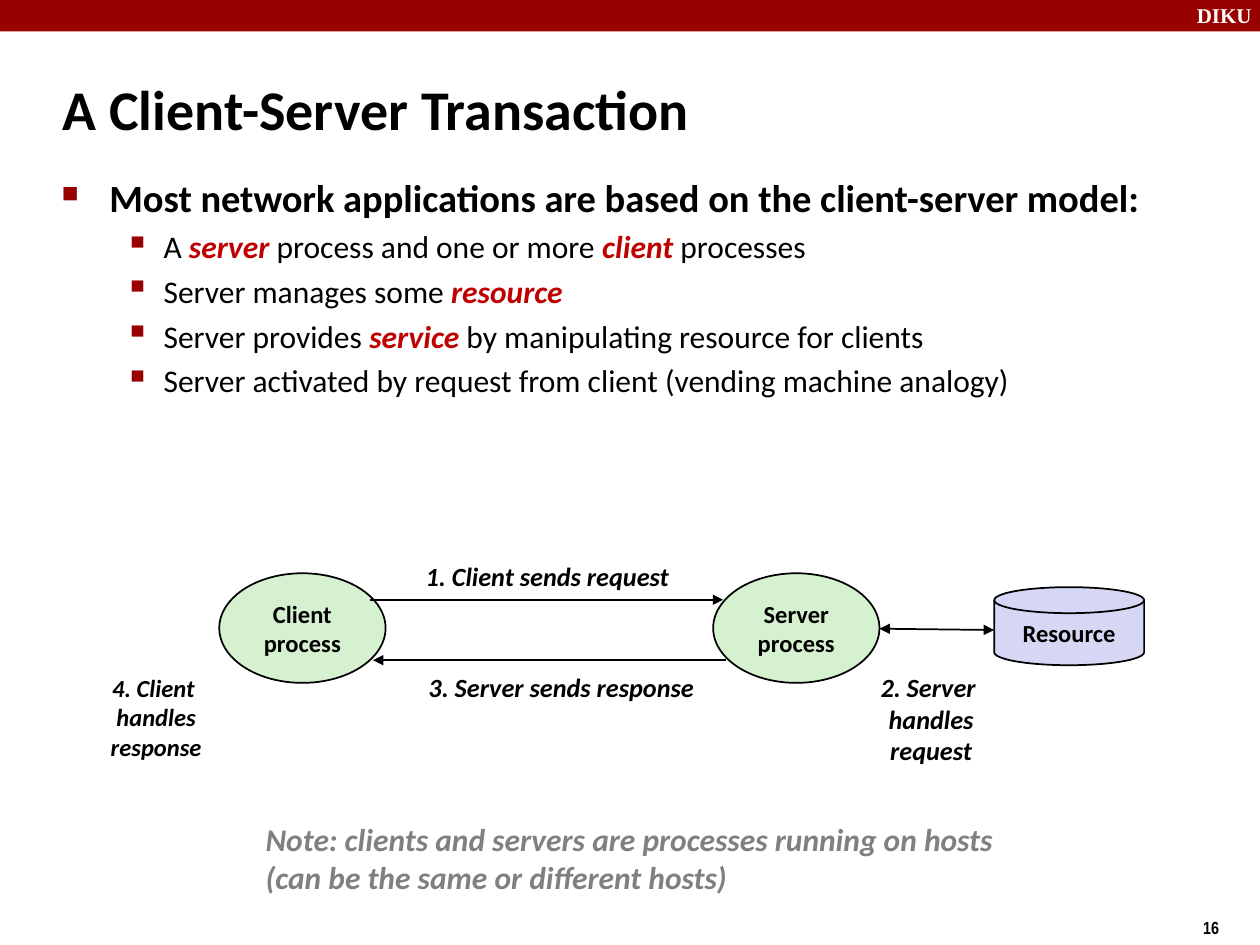
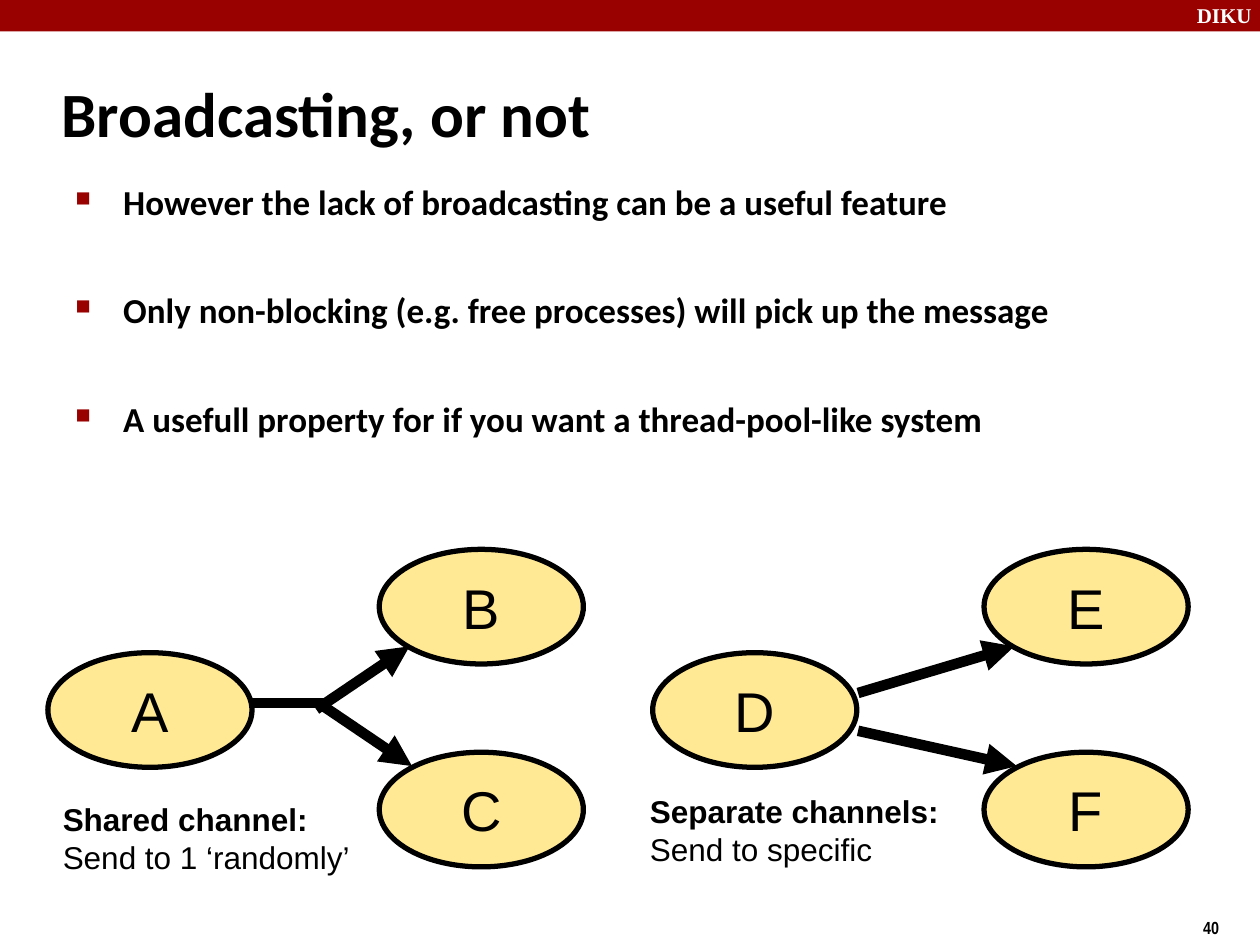
from pptx import Presentation
from pptx.dml.color import RGBColor
from pptx.enum.shapes import MSO_CONNECTOR, MSO_SHAPE
from pptx.enum.text import MSO_ANCHOR, PP_ALIGN
from pptx.oxml.ns import qn
from pptx.util import Inches, Pt
from lxml.etree import SubElement

COLORS = {
    "band": "990000", "accent": "C00000", "text": "000000", "white": "FFFFFF",
    "note": "808080", "process": "D5F1CF", "resource": "D6D6F5", "node": "FFE994",
}
HEADING = {"name": "Calibri", "bold": True}
CAPTION = {"name": "Arial", "size": Pt(18)}
BULLETS = [  # one entry per level
    {"char": "■", "percent": 60, "left": 0.38, "hang": 0.38},
    {"char": "▪", "percent": 110, "left": 0.81, "hang": 0.31},
]


def rgb(key):
    return RGBColor.from_string(COLORS[key])


def add_run(p, text, fmt, color="text"):
    r = p.add_run()
    r.text = text
    for name, value in fmt.items():
        setattr(r.font, name, value)
    r.font.color.rgb = rgb(color)


def write(tf, lines, fmt, color="text", align=PP_ALIGN.LEFT,
          anchor=MSO_ANCHOR.TOP, wrap=True):
    """Fill a text frame with one paragraph per line."""
    tf.word_wrap = wrap
    tf.vertical_anchor = anchor
    for i, line in enumerate(lines):
        p = tf.paragraphs[0] if i == 0 else tf.add_paragraph()
        p.alignment = align
        add_run(p, line, fmt, color)


def write_centered(tf, lines, fmt):
    write(tf, lines, fmt, align=PP_ALIGN.CENTER, anchor=MSO_ANCHOR.MIDDLE, wrap=False)


def add_text_frame(s, box):
    return s.shapes.add_textbox(*map(Inches, box)).text_frame


def add_label(s, box, lines, size):
    write_centered(add_text_frame(s, box), lines,
                   {**HEADING, "italic": True, "size": Pt(size)})


def add_shape(s, kind, box, fill, line_width=None):
    sp = s.shapes.add_shape(kind, *map(Inches, box))
    sp.shadow.inherit = False
    sp.fill.solid()
    sp.fill.fore_color.rgb = rgb(fill)
    if line_width:
        sp.line.color.rgb = rgb("text")
        sp.line.width = Pt(line_width)
    else:
        sp.line.fill.background()
    return sp


def add_line(s, start, end, width, ends=("tailEnd",)):
    """Draw a line with a triangle at each of the named ends."""
    c = s.shapes.add_connector(MSO_CONNECTOR.STRAIGHT, *map(Inches, (*start, *end)))
    c.line.color.rgb = rgb("text")
    c.line.width = Pt(width)
    ln = c.line._get_or_add_ln()
    for end_tag in ends:
        SubElement(ln, qn(f"a:{end_tag}"), type="triangle")
    SubElement(c._element.spPr, qn("a:effectLst"))


def add_bullet(p, level):
    b = BULLETS[level]
    p.level = level
    pPr = p._p.get_or_add_pPr()
    pPr.set("marL", str(Inches(b["left"])))
    pPr.set("indent", str(-Inches(b["hang"])))
    SubElement(SubElement(pPr, qn("a:buClr")), qn("a:srgbClr"), val=COLORS["band"])
    SubElement(pPr, qn("a:buSzPct"), val=str(b["percent"] * 1000))
    SubElement(pPr, qn("a:buChar"), char=b["char"])


def add_bullets(s, box, items, sizes, gap):
    """Place (level, text) items; words between asterisks are emphasised."""
    tf = add_text_frame(s, box)
    tf.word_wrap = True
    for i, (level, text) in enumerate(items):
        p = tf.paragraphs[0] if i == 0 else tf.add_paragraph()
        p.space_before = Pt(gap if i else 0)
        add_bullet(p, level)
        for j, part in enumerate(text.split("*")):
            strong = j % 2 == 1
            fmt = {"name": "Calibri", "size": Pt(sizes[level]),
                   "bold": strong or level == 0, "italic": strong}
            if part:
                add_run(p, part, fmt, "accent" if strong else "text")


def add_base_slide(prs, title, title_box, title_size, number):
    s = prs.slides.add_slide(prs.slide_layouts[6])
    add_shape(s, MSO_SHAPE.RECTANGLE, (0, 0, 10, 0.25), "band")
    write(add_text_frame(s, (9.4, -0.03, 0.67, 0.3)), ["DIKU"],
          {"name": "Times New Roman", "size": Pt(12), "bold": True}, "white")
    write(add_text_frame(s, (9.45, 7.23, 0.55, 0.27)), [str(number)],
          {"name": "Arial Narrow", "size": Pt(10), "bold": True})
    write(add_text_frame(s, title_box), [title],
          {**HEADING, "size": Pt(title_size)}, anchor=MSO_ANCHOR.MIDDLE)
    return s


def add_transaction_diagram(s, left, top):
    def at(x, y, *size):
        return (left + x, top + y, *size)

    parts = [
        (MSO_SHAPE.OVAL, at(0, 0, 1.32, 0.87), "process", ["Client", "process"]),
        (MSO_SHAPE.OVAL, at(3.92, 0, 1.32, 0.87), "process", ["Server", "process"]),
        (MSO_SHAPE.FLOWCHART_MAGNETIC_DISK, at(6.15, 0.11, 1.19, 0.62),
         "resource", ["Resource"]),
    ]
    for kind, box, fill, lines in parts:
        sp = add_shape(s, kind, box, fill, 1)
        write_centered(sp.text_frame, lines, {**HEADING, "size": Pt(14)})

    add_line(s, at(1.2, 0.21), at(4, 0.21), 1)
    add_line(s, at(4.02, 0.69), at(1.22, 0.69), 1)
    add_line(s, at(5.24, 0.44), at(6.15, 0.45), 1, ("headEnd", "tailEnd"))

    add_label(s, at(1.54, -0.15, 2.13, 0.35), ["1. Client sends request"], 15)
    add_label(s, at(5.15, 0.73, 1, 0.85), ["2. Server ", "handles", "request"], 15)
    add_label(s, at(1.56, 0.73, 2.31, 0.35), ["3. Server sends response"], 15)
    add_label(s, at(-0.96, 0.74, 0.92, 0.8), ["4. Client ", "handles", "response"], 14)


def add_channel_diagram(s, left, top, names, arrows, stem=None):
    """Draw one sender, its two receivers and the channel lines."""
    def at(x, y, *size):
        return (left + x, top + y, *size)

    for name, (x, y) in zip(names, [(0, 0.82), (2.63, 0), (2.63, 1.61)]):
        sp = add_shape(s, MSO_SHAPE.OVAL, at(x, y, 1.62, 0.91), "node", 3)
        write_centered(sp.text_frame, [name], {"name": "Arial", "size": Pt(32)})
    for start, tip in zip(arrows, [(2.87, 0.77), (2.89, 1.72)]):
        add_line(s, at(*start), at(*tip), 6)
    if stem:
        add_line(s, at(*stem[0]), at(*stem[1]), 6, ())


def add_channel_caption(s, box, heading, detail):
    tf = add_text_frame(s, box)
    write(tf, [heading], {**CAPTION, "bold": True})
    add_run(tf.add_paragraph(), detail, CAPTION)


def build_transaction_slide(prs):
    s = add_base_slide(prs, "A Client-Server Transaction", (0.4, 0.54, 7.83, 0.63), 32, 16)
    add_bullets(s, (0.39, 1.33, 9.52, 2.25), [
        (0, "Most network applications are based on the client-server model:"),
        (1, "A *server* process and one or more *client* processes"),
        (1, "Server manages some *resource*"),
        (1, "Server provides *service* by manipulating resource for clients"),
        (1, "Server activated by request from client (vending machine analogy)"),
    ], sizes=(22, 18), gap=4)
    add_transaction_diagram(s, 1.74, 4.55)
    write(add_text_frame(s, (2.01, 6.46, 6.03, 0.7)),
          ["Note: clients and servers are processes running on hosts",
           "(can be the same or different hosts)"],
          {**HEADING, "italic": True, "size": Pt(18)}, "note")


def build_broadcasting_slide(prs):
    s = add_base_slide(prs, "Broadcasting, or not", (0.39, 0.48, 8.3, 0.83), 36, 40)
    add_bullets(s, (0.5, 1.38, 8.97, 2.82), [
        (0, "However the lack of broadcasting can be a useful feature"),
        (0, "Only non-blocking (e.g. free processes) will pick up the message"),
        (0, "A usefull property for if you want a thread-pool-like system"),
    ], sizes=(20,), gap=38)
    add_channel_diagram(s, 0.38, 4.36, "ABC", [(2.13, 1.27), (2.15, 1.22)],
                        stem=[(2.19, 1.22), (1.62, 1.22)])
    add_channel_diagram(s, 5.18, 4.36, "DEF", [(1.63, 1.14), (1.63, 1.44)])
    add_channel_caption(s, (0.4, 6.3, 2.5, 0.94), "Shared channel:", "Send to 1 ‘randomly’")
    add_channel_caption(s, (5.06, 6.24, 2.7, 0.66), "Separate channels:", "Send to specific")


def main():
    prs = Presentation()
    prs.slide_width, prs.slide_height = Inches(10), Inches(7.5)
    build_transaction_slide(prs)
    build_broadcasting_slide(prs)
    prs.save("out.pptx")


if __name__ == "__main__":
    main()
